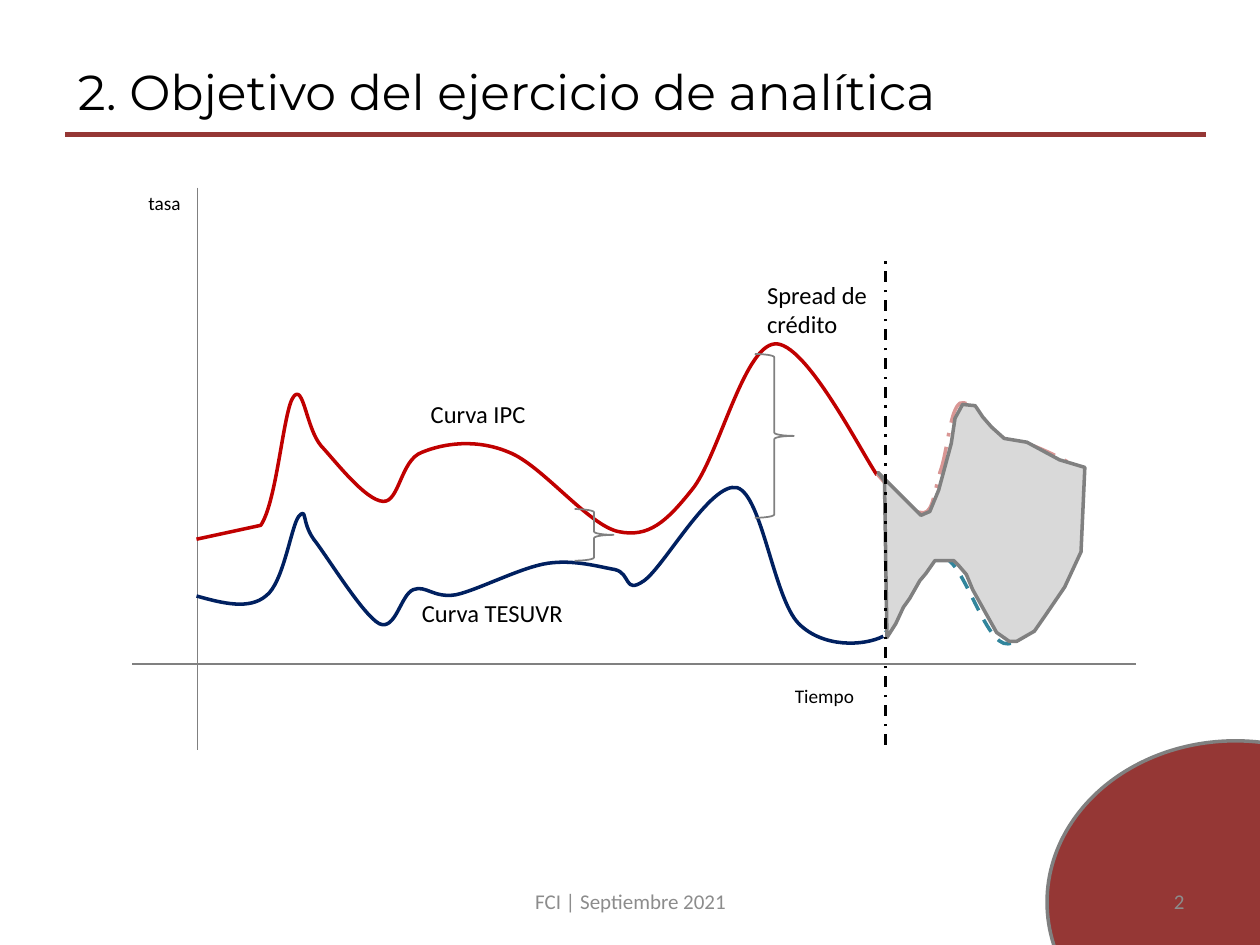
"""Builds a slide that shows the credit spread between two rate curves."""
from dataclasses import dataclass
from pptx import Presentation
from pptx.dml.color import RGBColor
from pptx.enum.dml import MSO_LINE
from pptx.enum.shapes import MSO_CONNECTOR, MSO_SHAPE
from pptx.enum.text import MSO_ANCHOR, MSO_AUTO_SIZE, PP_ALIGN
from pptx.oxml.ns import qn
from pptx.util import Inches, Pt


@dataclass(frozen=True)
class Theme:
    """Holds colours, fonts and type sizes."""
    ink: str = "000000"
    gray: str = "808080"
    mute: str = "8C8C8C"
    pale: str = "D9D9D9"
    wine: str = "953735"
    red: str = "C00000"
    navy: str = "002060"
    rose: str = "D99694"
    teal: str = "31859C"
    body: str = "Calibri"
    head: str = "Montserrat"
    title: int = 28
    label: int = 14
    foot: int = 12
    axis: int = 11


class Deck:
    """Draws on one slide with a grid of 100 columns and 75 rows."""

    def __init__(self, theme):
        """Opens a blank slide."""
        self.theme = theme
        self.show = Presentation()
        self.show.slide_width, self.show.slide_height = Inches(10), Inches(7.5)
        self.cell = self.show.slide_width / 100
        self.slide = self.show.slides.add_slide(self.show.slide_layouts[6])
        self.shapes = self.slide.shapes

    def grid(self, *cells):
        """Turns grid cells into lengths."""
        return [round(c * self.cell) for c in cells]

    def style(self, shape, line, width, fill=None, dash=None):
        """Sets the line and fill of a shape."""
        shape.shadow.inherit = False
        self.stroke(shape.line, line, width, dash)
        if fill:
            shape.fill.solid()
            shape.fill.fore_color.rgb = RGBColor.from_string(fill)
        else:
            shape.fill.background()
        return shape

    def stroke(self, line, color, width, dash=None):
        """Sets colour, width and dash of a line."""
        line.color.rgb = RGBColor.from_string(color)
        line.width = Pt(width)
        if dash:
            line.dash_style = dash

    def shape(self, kind, box, line, width, fill=None):
        """Adds a preset shape."""
        return self.style(self.shapes.add_shape(kind, *self.grid(*box)), line, width, fill)

    def line(self, ends, color, width, dash=None):
        """Adds a straight line."""
        rule = self.shapes.add_connector(MSO_CONNECTOR.STRAIGHT, *self.grid(*ends))
        self.stroke(rule.line, color, width, dash)
        props = rule._element.spPr
        props.append(props.makeelement(qn("a:effectLst"), {}))

    def text(self, words, box, size, color=None, font=None,
             align=PP_ALIGN.LEFT, anchor=MSO_ANCHOR.TOP, fit=True):
        """Adds a text box."""
        frame = self.shapes.add_textbox(*self.grid(*box)).text_frame
        frame.text = words
        frame.word_wrap = True
        frame.vertical_anchor = anchor
        frame.auto_size = MSO_AUTO_SIZE.SHAPE_TO_FIT_TEXT if fit else MSO_AUTO_SIZE.NONE
        para = frame.paragraphs[0]
        para.alignment = align
        face = para.runs[0].font
        face.size, face.name = Pt(size), font or self.theme.body
        face.color.rgb = RGBColor.from_string(color or self.theme.ink)

    def trace(self, points, close):
        """Adds an outline through the points."""
        first, *rest = [self.grid(*p) for p in points]
        pen = self.shapes.build_freeform(*first)
        pen.add_line_segments(rest, close=close)
        return pen.convert_to_shape()

    def area(self, points, fill, line, width):
        """Adds a filled polygon."""
        self.style(self.trace(points, True), line, width, fill)

    def curve(self, points, color, width, dash=None):
        """Adds a curve: a start, then two handles and an end for each part."""
        shape = self.style(self.trace(points, False), color, width, dash=dash)
        track = next(shape._element.iter(qn("a:path")))
        steps = track.findall(qn("a:lnTo"))
        for i in range(0, len(steps), 3):
            bend = track.makeelement(qn("a:cubicBezTo"), {})
            for step in steps[i:i + 3]:
                bend.append(step[0])
                track.remove(step)
            track.append(bend)


IPC = [
    (15.6, 42.8), (15.6, 42.8), (20.7, 41.7), (20.7, 41.7),
    (22, 39.8), (22.5, 32.5), (23.3, 31.5), (24.1, 30.4), (24.3, 34), (25.5, 35.4),
    (26.7, 36.7), (29, 39.7), (30.4, 39.8), (31.7, 39.9), (31.8, 36.5), (33.5, 35.9),
    (35.2, 35.2), (37.8, 34.8), (40.4, 35.9), (43, 36.9), (46.7, 41.7), (49.1, 42.2),
    (51.5, 42.7), (52.9, 41.4), (54.9, 38.9), (57, 36.4), (59, 27.5), (61.5, 27.3),
    (63.9, 27.1), (68.2, 35.6), (69.6, 37.7)]
TES = [
    (15.6, 47.3), (17.7, 47.9), (19.8, 48.4), (21.1, 47.3),
    (22.5, 46.3), (23.1, 41.8), (23.7, 41), (24.4, 40.2), (23.9, 41.4), (24.9, 42.8),
    (26, 44.2), (28.8, 48.8), (30.1, 49.5), (31.4, 50.1), (31.8, 47.2), (32.8, 46.8),
    (33.8, 46.4), (34.4, 47.5), (36.2, 47.2), (38, 46.8), (41.4, 45), (43.5, 44.7),
    (45.6, 44.4), (47.6, 45), (48.8, 45.2), (50.1, 45.5), (49.5, 47.2), (51.1, 46.1),
    (52.7, 45), (56.4, 38.2), (58.5, 38.7), (60.5, 39.3), (61.4, 47.5), (63.4, 49.5),
    (65.3, 51.4), (68.5, 51.3), (70.1, 50.5)]
HIGH = [
    (69.6, 37.6), (71, 39.2), (72.4, 40.8), (73.3, 40.7),
    (74.1, 40.7), (74.2, 38.6), (74.7, 37.2), (75.2, 35.7), (75.4, 32.5), (76.2, 32),
    (77, 31.6), (78.3, 34), (79.3, 34.6), (80.3, 35.2), (81.2, 35), (82.3, 35.5),
    (83.3, 35.9), (84.5, 36.5), (85.7, 37.2)]
LOW = [
    (70.3, 50.2), (71.8, 47.2), (73.3, 44.2), (74.9, 44.3),
    (76.5, 44.5), (78.2, 51.3), (80, 51.1), (81.8, 51), (83.7, 47.3), (85.5, 43.6)]
RANGE = [
    (69.7, 37.5), (73.1, 40.9), (73.8, 40.6), (74.5, 38.9), (75.5, 35.2), (75.8, 33.2),
    (76.4, 32.1), (77.4, 32.2), (78, 33.1), (78.7, 33.9), (79.7, 34.8), (81.5, 35.1),
    (82.8, 35.8), (84.1, 36.5), (86.1, 37.1), (85.8, 43.8), (84.5, 46.6), (83, 48.8),
    (82.1, 50.1), (80.7, 50.9), (80.1, 50.9), (79.1, 50.2), (78.2, 48.6), (77.2, 46.8),
    (76.7, 45.6), (76.1, 44.9), (75.7, 44.5), (75.1, 44.5), (74.2, 44.5), (73.5, 45.5),
    (73, 46.1), (72.2, 47.5), (71.7, 48.2), (71.1, 49.5), (70.4, 50.6), (70.2, 38.2)]


def main():
    """Draws the slide and saves it."""
    t = Theme()
    deck = Deck(t)
    deck.shape(MSO_SHAPE.OVAL, (83.1, 58.8, 29.9, 25.6), t.gray, 2, t.wine)
    for words, left, width, align in (
            ("2", 71.7, 23.3, PP_ALIGN.RIGHT),
            ("FCI | Septiembre 2021", 34.2, 31.7, PP_ALIGN.CENTER)):
        deck.text(words, (left, 69.5, width, 4), t.foot, t.mute,
                  align=align, anchor=MSO_ANCHOR.MIDDLE, fit=False)
    deck.line((95.7, 10.7, 5.2, 10.7), t.wine, 3)
    deck.text("2. Objetivo del ejercicio de analítica", (5.2, 4.4, 90.5, 5.7),
              t.title, font=t.head)
    for ends in ((15.7, 14.9, 15.7, 59.5), (10.5, 52.7, 90.2, 52.7)):
        deck.line(ends, t.gray, 0.75)
    for points, color, dash in (
            (IPC, t.red, None), (TES, t.navy, None),
            (HIGH, t.rose, MSO_LINE.LONG_DASH_DOT), (LOW, t.teal, MSO_LINE.DASH)):
        deck.curve(points, color, 2, dash)
    deck.area(RANGE, t.pale, t.gray, 2)
    deck.line((70.3, 59.1, 70.3, 20.3), t.ink, 1.5, MSO_LINE.DASH_DOT)
    for box in ((45.6, 40.4, 3.1, 4.1), (59.9, 28.1, 3.1, 13)):
        deck.shape(MSO_SHAPE.RIGHT_BRACE, box, t.gray, 1)
    for words, box, size in (
            ("Tiempo", (62.1, 53.8, 8.2, 3.5), t.axis),
            ("tasa", (10.8, 14.7, 4.9, 3.5), t.axis),
            ("Curva TESUVR", (32.5, 47, 13.5, 4.2), t.label),
            ("Curva IPC", (33.2, 31.2, 11.9, 3.4), t.label),
            ("Spread de crédito", (59.9, 21.7, 13.4, 5.7), t.label)):
        deck.text(words, box, size)
    deck.show.save("out.pptx")


main()
